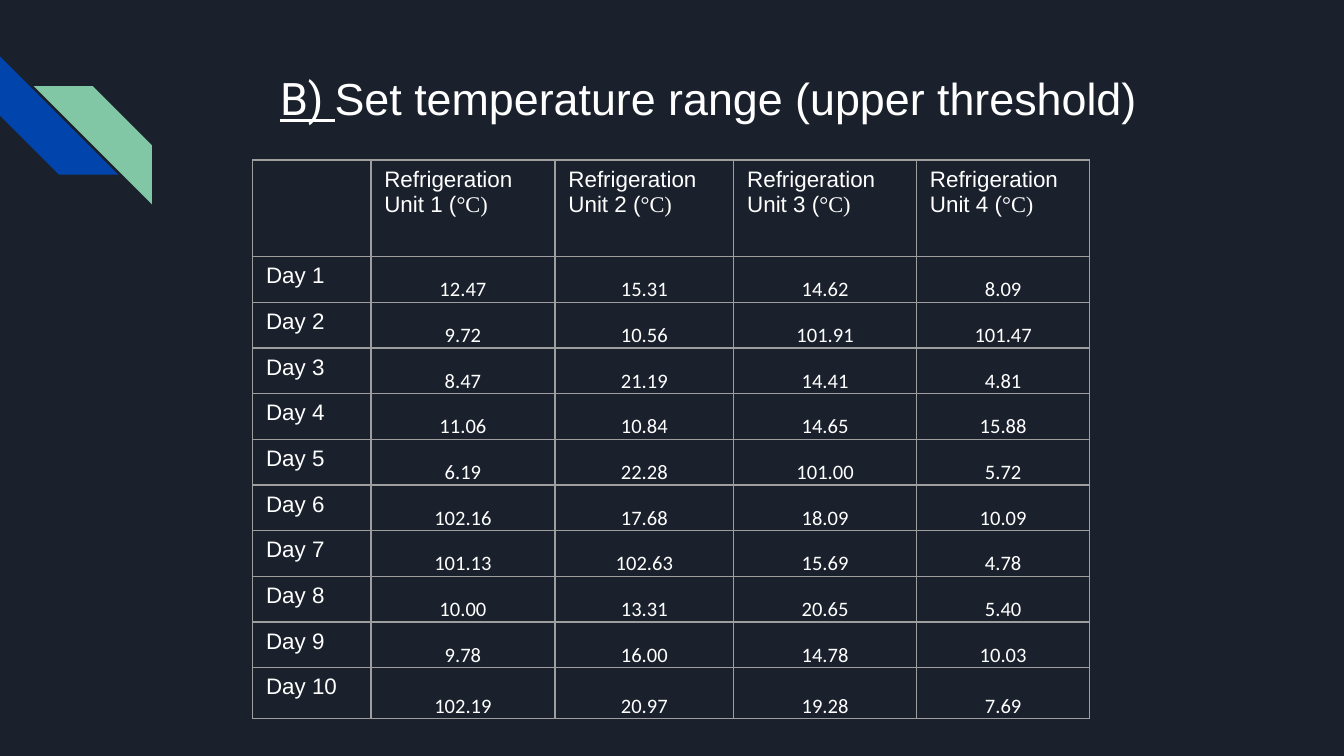
from pptx import Presentation
from pptx.dml.color import RGBColor
from pptx.enum.shapes import MSO_SHAPE as SHAPE
from pptx.enum.text import MSO_ANCHOR as ANCHOR, PP_ALIGN as ALIGN
from pptx.oxml import parse_xml
from pptx.oxml.ns import nsdecls
from pptx.util import Inches, Pt

READINGS = [
    ("12.47", "15.31", "14.62", "8.09"),
    ("9.72", "10.56", "101.91", "101.47"),
    ("8.47", "21.19", "14.41", "4.81"),
    ("11.06", "10.84", "14.65", "15.88"),
    ("6.19", "22.28", "101.00", "5.72"),
    ("102.16", "17.68", "18.09", "10.09"),
    ("101.13", "102.63", "15.69", "4.78"),
    ("10.00", "13.31", "20.65", "5.40"),
    ("9.78", "16.00", "14.78", "10.03"),
    ("102.19", "20.97", "19.28", "7.69"),
]
COL_WIDTHS = [0.88, 1.37, 1.33, 1.36, 1.29]
ROW_HEIGHTS = [0.72] + [0.34] * 9 + [0.38]


def rgb(value):
    return RGBColor.from_string(value)


class Deck:
    background = "1B212C"
    text_color = "FFFFFF"
    border = "9E9E9E"
    font = "Arial"

    def __init__(self, prs):
        self.s = prs.slides.add_slide(prs.slide_layouts[6])
        self.s.background.fill.solid()
        self.s.background.fill.fore_color.rgb = rgb(self.background)

    def stripe(self, x, y, size, color):
        sp = self.s.shapes.add_shape(
            SHAPE.DIAGONAL_STRIPE, Inches(x), Inches(y), Inches(size), Inches(size))
        sp.shadow.inherit = False
        sp.fill.solid()
        sp.fill.fore_color.rgb = rgb(color)
        sp.line.fill.background()
        return sp

    def run(self, p, text, size, font=None, underline=False):
        r = p.add_run()
        r.text = text
        r.font.size = Pt(size)
        r.font.name = font or self.font
        r.font.underline = underline
        r.font.color.rgb = rgb(self.text_color)

    def title(self, x, y, w, h, prefix, text):
        tf = self.s.shapes.add_textbox(Inches(x), Inches(y), Inches(w), Inches(h)).text_frame
        tf.word_wrap = True
        tf.vertical_anchor = ANCHOR.TOP
        tf.margin_left = tf.margin_right = tf.margin_top = tf.margin_bottom = Inches(0.1)
        p = tf.paragraphs[0]
        p.alignment = ALIGN.CENTER
        self.run(p, prefix, 24, "Roboto", underline=True)
        self.run(p, text, 24)

    def table(self, x, y, widths, heights):
        frame = self.s.shapes.add_table(
            len(heights), len(widths), Inches(x), Inches(y),
            Inches(sum(widths)), Inches(sum(heights)))
        table = frame.table
        table.first_row = table.horz_banding = False
        for column, width in zip(table.columns, widths):
            column.width = Inches(width)
        for row, height in zip(table.rows, heights):
            row.height = Inches(height)
        for cell in table.iter_cells():
            self.style_cell(cell)
        return table

    def style_cell(self, cell):
        tcPr = cell._tc.get_or_add_tcPr()
        for side in "LRTB":
            tcPr.append(parse_xml(
                f'<a:ln{side} {nsdecls("a")} w="{Pt(0.75)}"><a:solidFill>'
                f'<a:srgbClr val="{self.border}"/></a:solidFill></a:ln{side}>'))
        cell.fill.background()

    def label(self, cell, text, unit=""):
        p = cell.text_frame.paragraphs[0]
        self.run(p, text, 12)
        if unit:
            self.run(p, unit, 12, "Times New Roman")

    def reading(self, cell, text):
        cell.vertical_anchor = ANCHOR.BOTTOM
        cell.margin_left = cell.margin_right = cell.margin_top = Inches(0.01)
        cell.margin_bottom = 0
        p = cell.text_frame.paragraphs[0]
        p.alignment = ALIGN.CENTER
        self.run(p, text, 11, "Calibri")


def main():
    prs = Presentation()
    prs.slide_width = Inches(10)
    prs.slide_height = Inches(10 * 9 / 16)
    deck = Deck(prs)

    deck.stripe(0, 0.42, 0.88, "0145AC").rotation = 270
    green = deck.stripe(0.25, 0.64, 0.88, "82C7A5")
    green._element.spPr.xfrm.set("flipH", "1")
    deck.title(1.42, 0.43, 7.7, 1, "B) ", "Set temperature range (upper threshold)")

    table = deck.table(1.88, 1.19, COL_WIDTHS, ROW_HEIGHTS)
    for unit in range(1, len(COL_WIDTHS)):
        deck.label(table.cell(0, unit), f"Refrigeration Unit {unit} (", "°C)")
    for day, values in enumerate(READINGS, 1):
        deck.label(table.cell(day, 0), f"Day {day}")
        for unit, value in enumerate(values, 1):
            deck.reading(table.cell(day, unit), value)

    prs.save("out.pptx")


if __name__ == "__main__":
    main()
